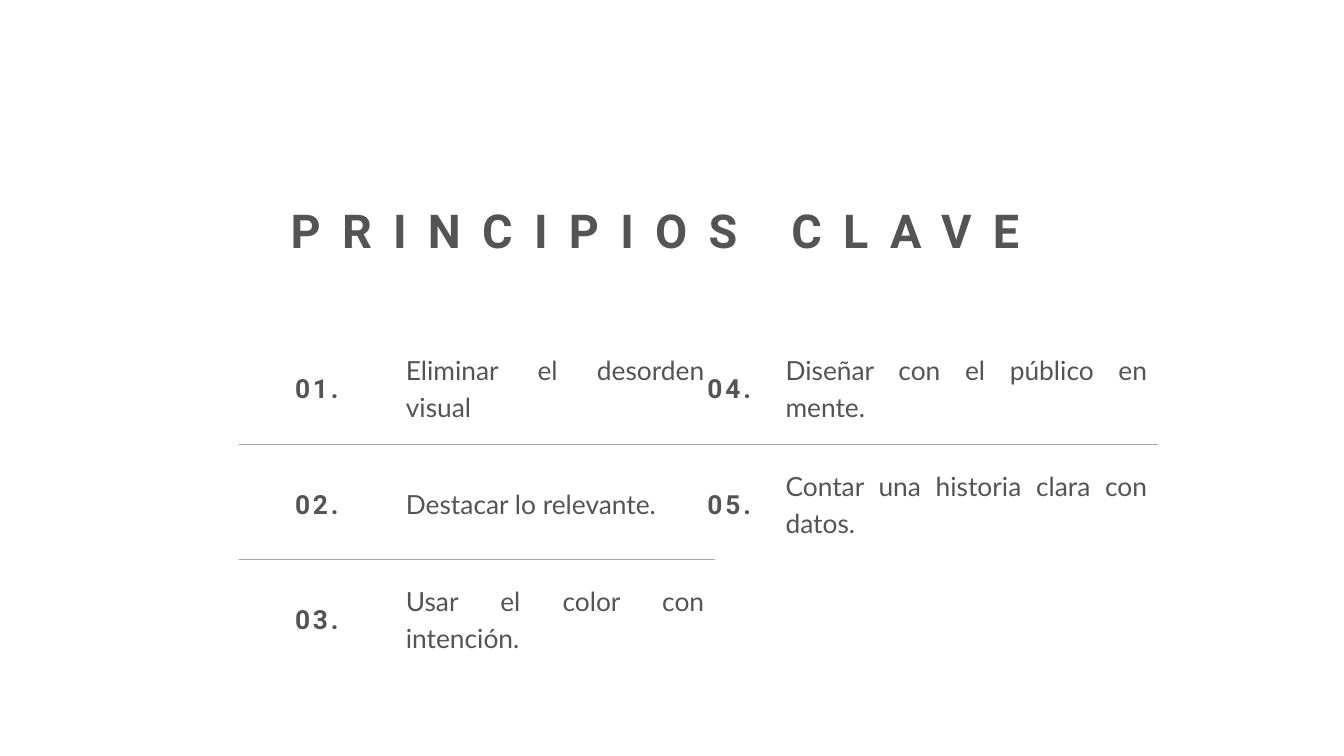
from pptx import Presentation
from pptx import util as u
from pptx.dml.color import RGBColor
from pptx.enum import text
from pptx.oxml import parse_xml
from pptx.oxml.ns import nsdecls

WIDTH, HEIGHT = 20, 11.25
ROW_HEIGHT = 1.72
TABLE_TOP = 4.89
CELL_MARGIN = 0.16
COLORS = {"text": "545454", "rule": "A6A6A6"}
ALIGN = text.PP_ALIGN

LEFT_PRINCIPLES = [
    ("01.", "Eliminar el desorden visual "),
    ("02.", "Destacar lo relevante."),
    ("03.", "Usar el color con intención."),
]
RIGHT_PRINCIPLES = [
    ("04.", "Diseñar con el público en mente."),
    ("05.", "Contar una historia clara con datos."),
]


def write(para, words, font, size, leading, align, bold=False, spacing=0):
    para.alignment = align
    para.line_spacing = u.Pt(leading)
    span = para.add_run()
    span.text = words
    span.font.name = font
    span.font.size = u.Pt(size)
    span.font.bold = bold
    span.font.color.rgb = RGBColor.from_string(COLORS["text"])
    span.font._element.set("spc", str(round(spacing * 100)))


def set_borders(cell, top, bottom):
    visible = {"L": False, "R": False, "T": top, "B": bottom}
    properties = cell._tc.get_or_add_tcPr()
    for index, (side, shown) in enumerate(visible.items()):
        paint = "<a:noFill/>"
        if shown:
            paint = f'<a:solidFill><a:srgbClr val="{COLORS["rule"]}"/></a:solidFill>'
        width = u.Pt(0.96) if shown else 0
        line = f'<a:ln{side} {nsdecls("a")} w="{width}">{paint}</a:ln{side}>'
        properties.insert(index, parse_xml(line))


def format_cell(cell, row, row_count):
    cell.fill.background()
    cell.vertical_anchor = text.MSO_ANCHOR.MIDDLE
    cell.margin_left = cell.margin_right = u.Inches(CELL_MARGIN)
    cell.margin_top = cell.margin_bottom = u.Inches(CELL_MARGIN)
    set_borders(cell, row > 0, row < row_count - 1)


def add_principles(page, left, widths, principles):
    count = len(principles)
    frame = page.shapes.add_table(
        count, len(widths), u.Inches(left), u.Inches(TABLE_TOP),
        u.Inches(sum(widths)), u.Inches(count * ROW_HEIGHT))
    table = frame.table
    table.first_row = table.horz_banding = False
    for column, width in zip(table.columns, widths):
        column.width = u.Inches(width)
    for row, (number, principle) in enumerate(principles):
        table.rows[row].height = u.Inches(ROW_HEIGHT)
        number_cell, principle_cell = table.cell(row, 0), table.cell(row, 1)
        for cell in (number_cell, principle_cell):
            format_cell(cell, row, count)
        write(number_cell.text_frame.paragraphs[0], number, "Roboto", 28.2, 39.5,
              ALIGN.CENTER, bold=True, spacing=3.1)
        write(principle_cell.text_frame.paragraphs[0], principle, "Lato", 28.2, 39.5,
              ALIGN.JUSTIFY)


def add_title(page, words):
    box = page.shapes.title
    box.left, box.top = u.Inches(2.85), u.Inches(2.95)
    box.width, box.height = u.Inches(14.29), u.Inches(0.88)
    frame = box.text_frame
    frame.margin_left = frame.margin_right = 0
    frame.margin_top = frame.margin_bottom = 0
    frame.word_wrap = True
    frame.auto_size = text.MSO_AUTO_SIZE.NONE
    frame.vertical_anchor = text.MSO_ANCHOR.TOP
    write(frame.paragraphs[0], words, "Roboto", 50, 64, ALIGN.CENTER,
          bold=True, spacing=22.8)


def main():
    deck = Presentation()
    deck.slide_width, deck.slide_height = u.Inches(WIDTH), u.Inches(HEIGHT)
    page = deck.slides.add_slide(deck.slide_layouts[5])
    add_principles(page, 3.55, (2.33, 4.76), LEFT_PRINCIPLES)
    add_principles(page, 10.17, (1.36, 5.7), RIGHT_PRINCIPLES)
    add_title(page, "PRINCIPIOS CLAVE ")
    deck.save("out.pptx")


if __name__ == "__main__":
    main()
